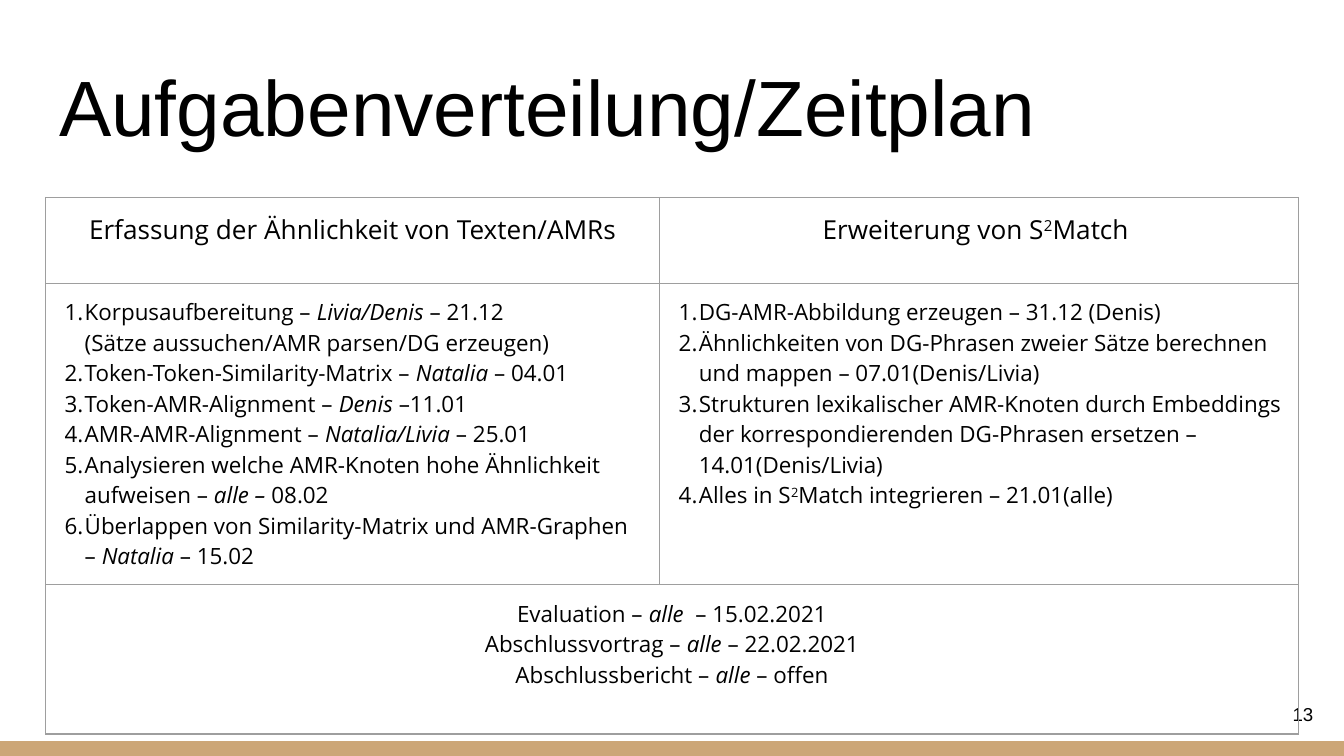
from dataclasses import dataclass
from typing import NamedTuple

from lxml import etree
from pptx import Presentation
from pptx.dml.color import RGBColor
from pptx.enum.shapes import MSO_SHAPE
from pptx.enum.text import MSO_ANCHOR, MSO_AUTO_SIZE, PP_ALIGN
from pptx.oxml.ns import qn
from pptx.util import Inches, Pt

BLACK = RGBColor(0x00, 0x00, 0x00)
TAN = RGBColor(0xCC, 0xA6, 0x77)
BORDER_GREY = RGBColor(0x9E, 0x9E, 0x9E)
LEFT, RIGHT, CENTER = PP_ALIGN.LEFT, PP_ALIGN.RIGHT, PP_ALIGN.CENTER
MIDDLE, BOTTOM = MSO_ANCHOR.MIDDLE, MSO_ANCHOR.BOTTOM
NO_AUTOFIT = MSO_AUTO_SIZE.NONE
RECTANGLE = MSO_SHAPE.RECTANGLE
TITLE_ONLY = 5
SLIDE_WIDTH = Inches(10)
SLIDE_HEIGHT = SLIDE_WIDTH * 9 // 16
INSET = Inches(0.1)


class Span(NamedTuple):
    """A stretch of text with one style."""
    text: str
    italic: bool = False
    raised: bool = False


@dataclass
class Line:
    """A paragraph; number_from is the start value of its numbered list."""
    spans: list[Span]
    number_from: int = 0
    indented: bool = False


@dataclass
class Entry:
    """The content of one visible table cell."""
    row: int
    first_col: int
    last_col: int
    lines: list[Line]
    size: int = 12
    align: PP_ALIGN = LEFT


def task(before: str, who: str = "", after: str = "", number_from: int = 1) -> Line:
    """Return a numbered task with the people in italics."""
    return Line([Span(before), Span(who, italic=True), Span(after)], number_from, True)


def milestone(name: str, who: str, date: str) -> Line:
    """Return a shared milestone."""
    return Line([Span(name), Span(who, italic=True), Span(date)])


def s2match(before: str, after: str) -> list[Span]:
    """Return text around the raised 2 of S2Match."""
    return [Span(before + "S"), Span("2", raised=True), Span("Match" + after)]


TEXT_TASKS = [
    task("Korpusaufbereitung – ", "Livia/Denis ", "– 21.12"),
    Line([Span("(Sätze aussuchen/AMR parsen/DG erzeugen)")], indented=True),
    task("Token-Token-Similarity-Matrix – ", "Natalia ", "– 04.01", 2),
    task("Token-AMR-Alignment – ", "Denis ", "–11.01", 2),
    task("AMR-AMR-Alignment – ", "Natalia/Livia", " – 25.01", 2),
    task("Analysieren welche AMR-Knoten hohe Ähnlichkeit aufweisen – ", "alle – ", "08.02", 2),
    task("Überlappen von Similarity-Matrix und AMR-Graphen  – ", "Natalia ", "– 15.02", 2),
]
MATCH_TASKS = [
    task("DG-AMR-Abbildung erzeugen – 31.12 (Denis)"),
    task("Ähnlichkeiten von DG-Phrasen zweier Sätze berechnen und mappen – 07.01(Denis/Livia)"),
    task("Strukturen lexikalischer AMR-Knoten durch Embeddings der "
         "korrespondierenden DG-Phrasen ersetzen – 14.01(Denis/Livia)"),
    Line(s2match("Alles in ", " integrieren – 21.01(alle)"), 1, True),
]
MILESTONES = [
    milestone("Evaluation – ", "alle ", " – 15.02.2021"),
    milestone("Abschlussvortrag – ", "alle", " – 22.02.2021"),
    milestone("Abschlussbericht – ", "alle", " – offen"),
]
ENTRIES = [
    Entry(0, 0, 0, [Line([Span("Erfassung der Ähnlichkeit von Texten/AMRs")])], 14, CENTER),
    Entry(0, 1, 2, [Line(s2match("Erweiterung von ", " "))], 14, CENTER),
    Entry(1, 0, 0, TEXT_TASKS),
    Entry(1, 1, 2, MATCH_TASKS),
    Entry(2, 0, 2, MILESTONES, align=CENTER),
]
COLUMN_WIDTHS = [4.57, 2.63, 2.12]
ROW_HEIGHTS = [0.64, 2.24, 1.11]


def style_font(font, name: str, size: int) -> None:
    """Set a black font."""
    font.name, font.size = name, Pt(size)
    font.color.rgb = BLACK


def set_insets(target) -> None:
    """Give a text frame or cell equal insets."""
    target.margin_left = target.margin_right = INSET
    target.margin_top = target.margin_bottom = INSET


def write_line(paragraph, line: Line, size: int, align: PP_ALIGN) -> None:
    """Fill a paragraph with its spans, indent and number."""
    paragraph.alignment = align
    style_font(paragraph.font, "Open Sans", size)
    properties = paragraph._p.get_or_add_pPr()
    if line.indented:
        properties.set("marL", str(Inches(0.19)))
        properties.set("indent", str(Inches(-0.15) if line.number_from else 0))
    if line.number_from:
        number = etree.Element(qn("a:buAutoNum"), type="arabicPeriod",
                               startAt=str(line.number_from))
        properties.insert_element_before(number, "a:tabLst", "a:defRPr", "a:extLst")
    for span in line.spans:
        if not span.text:
            continue
        run = paragraph.add_run()
        run.text = span.text
        if span.italic:
            run.font.italic = True
        if span.raised:
            run._r.get_or_add_rPr().set("baseline", "30000")


def add_borders(cell) -> None:
    """Clear the cell fill and draw thin grey borders on all sides."""
    cell.fill.background()
    properties = cell._tc.get_or_add_tcPr()
    for position, side in enumerate(("a:lnL", "a:lnR", "a:lnT", "a:lnB")):
        border = etree.Element(qn(side), w=str(Pt(0.75)))
        fill = etree.SubElement(border, qn("a:solidFill"))
        etree.SubElement(fill, qn("a:srgbClr"), val=str(BORDER_GREY))
        properties.insert(position, border)


def add_schedule(slide) -> None:
    """Add the table of tasks and milestones."""
    table = slide.shapes.add_table(
        len(ROW_HEIGHTS), len(COLUMN_WIDTHS), Inches(0.34), Inches(1.47),
        Inches(sum(COLUMN_WIDTHS)), Inches(sum(ROW_HEIGHTS))).table
    table.first_row = table.horz_banding = False
    for column, width in zip(table.columns, COLUMN_WIDTHS):
        column.width = Inches(width)
    for row, height in zip(table.rows, ROW_HEIGHTS):
        row.height = Inches(height)
    for cell in table.iter_cells():
        set_insets(cell)
        add_borders(cell)
    for entry in ENTRIES:
        cell = table.cell(entry.row, entry.first_col)
        if entry.last_col > entry.first_col:
            cell.merge(table.cell(entry.row, entry.last_col))
        frame = cell.text_frame
        for index, line in enumerate(entry.lines):
            paragraph = frame.add_paragraph() if index else frame.paragraphs[0]
            write_line(paragraph, line, entry.size, entry.align)


def write_plain(shape, text: str, size: int, align: PP_ALIGN, anchor: MSO_ANCHOR) -> None:
    """Write a single Arial line into a shape."""
    frame = shape.text_frame
    frame.text = text
    frame.word_wrap = True
    frame.auto_size = NO_AUTOFIT
    frame.vertical_anchor = anchor
    set_insets(frame)
    frame.paragraphs[0].alignment = align
    style_font(frame.paragraphs[0].font, "Arial", size)


def main() -> None:
    """Build and save the slide."""
    deck = Presentation()
    deck.slide_width, deck.slide_height = SLIDE_WIDTH, SLIDE_HEIGHT
    slide = deck.slides.add_slide(deck.slide_layouts[TITLE_ONLY])

    bar_height = Inches(0.11)
    footer_bar = slide.shapes.add_shape(
        RECTANGLE, 0, SLIDE_HEIGHT - bar_height, SLIDE_WIDTH, bar_height)
    footer_bar.shadow.inherit = False
    footer_bar.fill.solid()
    footer_bar.fill.fore_color.rgb = TAN
    footer_bar.line.fill.background()

    title = slide.shapes.title
    title.left, title.top = Inches(0.34), Inches(0.32)
    title.width, title.height = Inches(8.62), Inches(0.91)
    write_plain(title, "Aufgabenverteilung/Zeitplan", 42, LEFT, BOTTOM)

    page_number = slide.shapes.add_textbox(
        Inches(9.27), Inches(5.1), Inches(0.6), Inches(0.43))
    write_plain(page_number, "13", 10, RIGHT, MIDDLE)

    add_schedule(slide)
    deck.save("out.pptx")


main()
